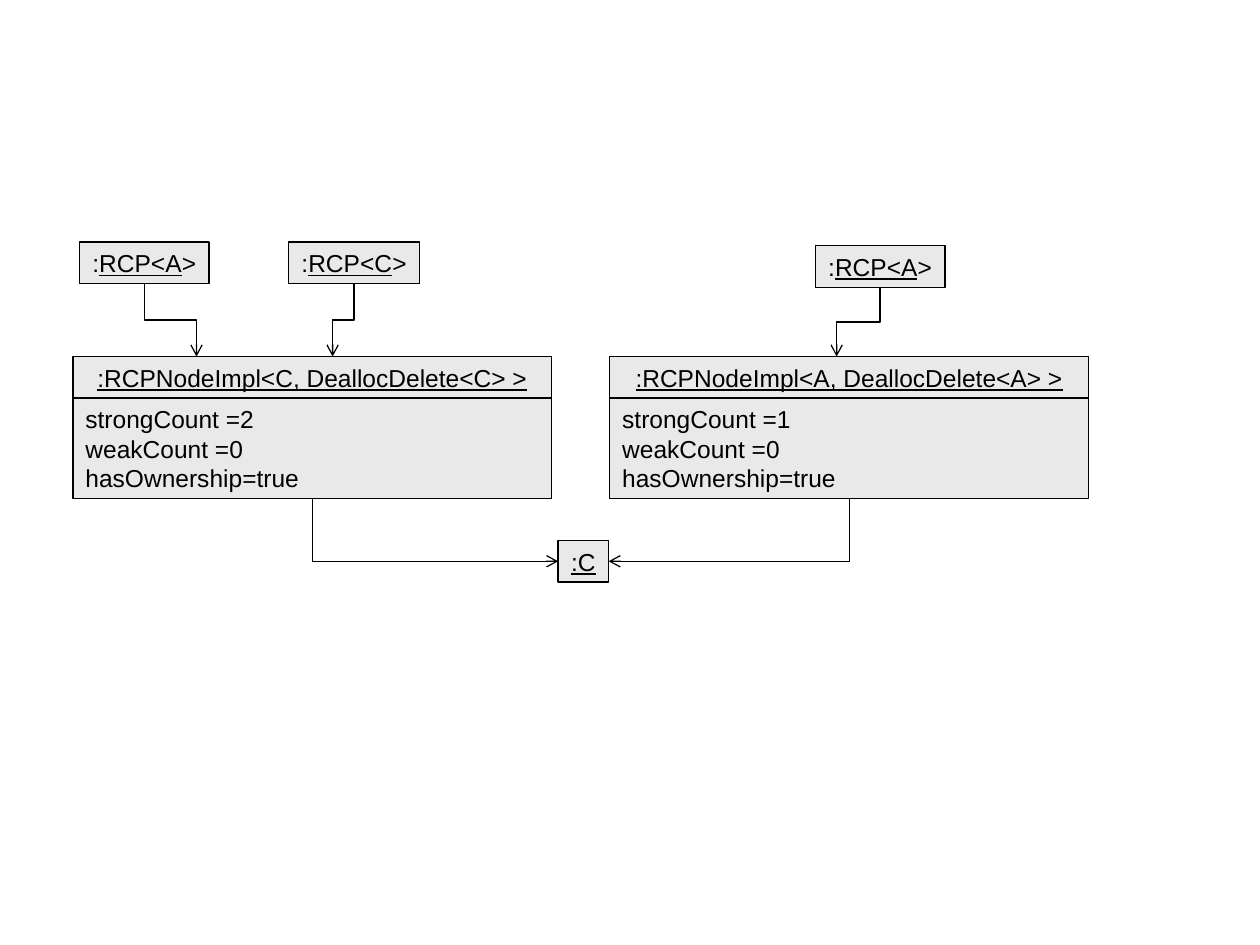
from lxml.etree import SubElement
from pptx import Presentation
from pptx.dml.color import RGBColor
from pptx.enum.shapes import MSO_CONNECTOR, MSO_SHAPE
from pptx.enum.text import MSO_ANCHOR, PP_ALIGN
from pptx.oxml.ns import qn
from pptx.util import Inches, Pt

BLACK = RGBColor(0x00, 0x00, 0x00)
BOX_GRAY = RGBColor(0xE9, 0xE9, 0xE9)

LABEL_HEIGHT = 0.33
FIELDS_HEIGHT = 0.8
NODE_WIDTH = 3.8
NODE_TOP = 2.83
NODE_BOTTOM = NODE_TOP + LABEL_HEIGHT + FIELDS_HEIGHT


def add_box(slide, left, top, width, height, paragraphs, align, wrap=True):
    """Add a box; each paragraph is a list of (text, underlined) runs."""
    shape = slide.shapes.add_shape(
        MSO_SHAPE.RECTANGLE, Inches(left), Inches(top), Inches(width), Inches(height)
    )
    shape.shadow.inherit = False
    shape.fill.solid()
    shape.fill.fore_color.rgb = BOX_GRAY
    shape.line.color.rgb = BLACK
    shape.line.width = Pt(0.75)
    text_frame = shape.text_frame
    text_frame.word_wrap = wrap
    text_frame.vertical_anchor = MSO_ANCHOR.MIDDLE
    for index, runs in enumerate(paragraphs):
        paragraph = text_frame.add_paragraph() if index else text_frame.paragraphs[0]
        paragraph.alignment = align
        for text, underlined in runs:
            run = paragraph.add_run()
            run.text = text
            run.font.name = "Arial"
            run.font.size = Pt(14)
            run.font.color.rgb = BLACK
            run.font.underline = underlined


def add_pointer(slide, left, top, width, type_name):
    runs = [(":", False), (f"RCP<{type_name}", True), (">", False)]
    add_box(slide, left, top, width, LABEL_HEIGHT, [runs], PP_ALIGN.CENTER, wrap=False)


def add_node(slide, left, type_name, strong_count):
    title = f":RCPNodeImpl<{type_name}, DeallocDelete<{type_name}> >"
    add_box(slide, left, NODE_TOP, NODE_WIDTH, LABEL_HEIGHT,
            [[(title, True)]], PP_ALIGN.CENTER)
    fields = [f"strongCount ={strong_count}", "weakCount =0", "hasOwnership=true"]
    add_box(slide, left, NODE_TOP + LABEL_HEIGHT, NODE_WIDTH, FIELDS_HEIGHT,
            [[(field, False)] for field in fields], PP_ALIGN.LEFT)


def add_elbow_arrow(slide, start, end, preset="bentConnector3"):
    """Add an arrow that leaves downwards, made by turning a sideways elbow."""
    (x1, y1), (x2, y2) = start, end
    width, height = abs(y2 - y1), abs(x2 - x1)
    left = (x1 + x2 - width) / 2
    top = (y1 + y2 - height) / 2
    connector = slide.shapes.add_connector(
        MSO_CONNECTOR.ELBOW, Inches(left), Inches(top),
        Inches(left + width), Inches(top + height),
    )
    connector.line.color.rgb = BLACK
    connector.line.width = Pt(0.75)
    properties = connector._element.spPr
    transform = properties.find(qn("a:xfrm"))
    goes_right = x2 > x1
    transform.set("rot", str((270 if goes_right else 90) * 60000))
    if goes_right:
        transform.set("flipH", "1")
    properties.find(qn("a:prstGeom")).set("prst", preset)
    SubElement(properties.find(qn("a:ln")), qn("a:tailEnd"), type="arrow")
    SubElement(properties, qn("a:effectLst"))


def main():
    presentation = Presentation()
    presentation.slide_width = Inches(10)
    presentation.slide_height = Inches(7.5)
    slide = presentation.slides.add_slide(presentation.slide_layouts[6])

    # left, top, width, type, arrow tip x
    pointers = [
        (0.63, 1.92, 1.03, "A", 1.56),
        (2.29, 1.92, 1.04, "C", 2.64),
        (6.47, 1.95, 1.03, "A", 6.64),
    ]
    for left, top, width, type_name, tip_x in pointers:
        add_pointer(slide, left, top, width, type_name)
        add_elbow_arrow(slide, (left + width / 2, top + LABEL_HEIGHT), (tip_x, NODE_TOP))

    object_left, object_top, object_width = 4.43, 4.29, 0.4
    object_middle = object_top + LABEL_HEIGHT / 2
    add_box(slide, object_left, object_top, object_width, LABEL_HEIGHT,
            [[(":C", True)]], PP_ALIGN.CENTER, wrap=False)

    # left, type, strong count, side of the object pointed at
    nodes = [
        (0.58, "C", 2, object_left),
        (4.84, "A", 1, object_left + object_width),
    ]
    for left, type_name, strong_count, tip_x in nodes:
        add_node(slide, left, type_name, strong_count)
        add_elbow_arrow(slide, (left + NODE_WIDTH / 2, NODE_BOTTOM),
                        (tip_x, object_middle), "bentConnector2")

    presentation.save("out.pptx")


if __name__ == "__main__":
    main()
